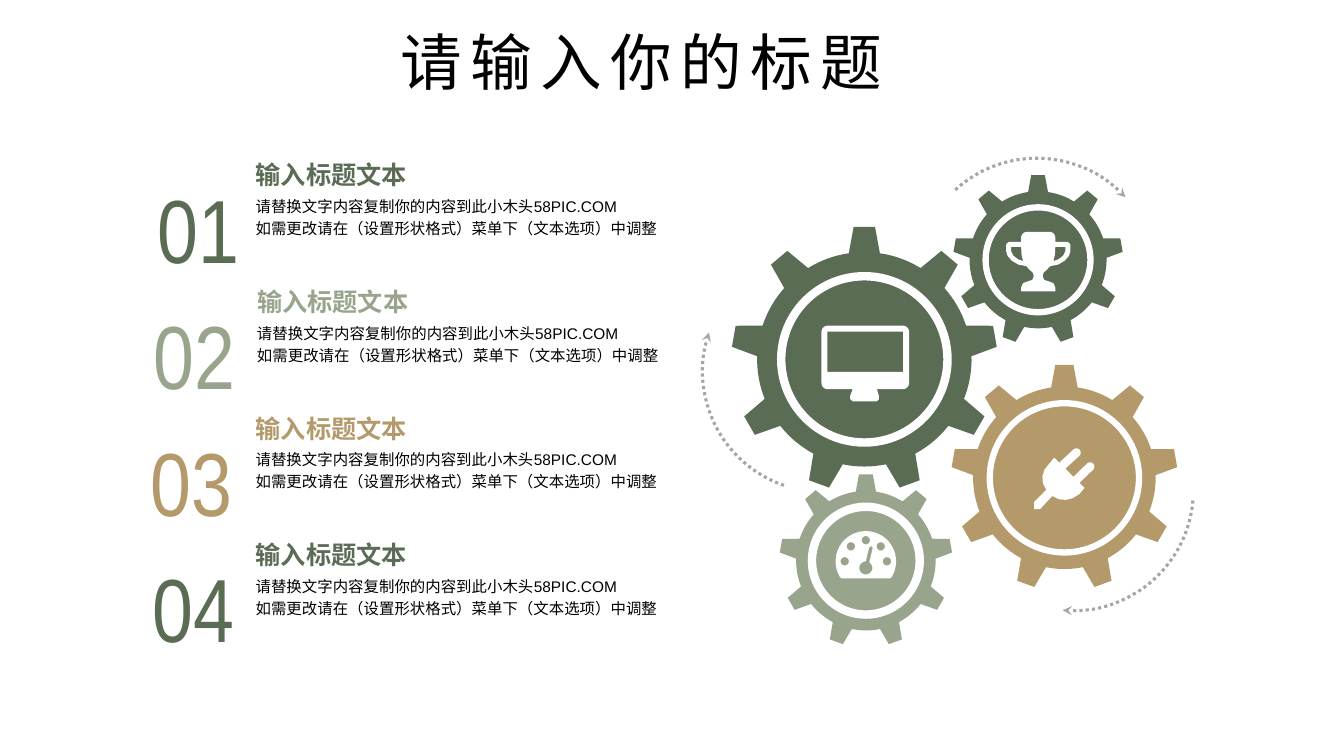
from math import cos, radians, sin

from lxml import etree
from pptx import Presentation
from pptx.dml.color import RGBColor
from pptx.enum.dml import MSO_LINE
from pptx.enum.shapes import MSO_SHAPE
from pptx.enum.text import MSO_ANCHOR, MSO_AUTO_SIZE, PP_ALIGN
from pptx.oxml.ns import qn
from pptx.util import Pt

ARC, ELLIPSE = MSO_SHAPE.ARC, MSO_SHAPE.OVAL
TOP, MIDDLE, BOTTOM = MSO_ANCHOR.TOP, MSO_ANCHOR.MIDDLE, MSO_ANCHOR.BOTTOM
DOTTED, CENTER, NO_AUTOFIT = MSO_LINE.ROUND_DOT, PP_ALIGN.CENTER, MSO_AUTO_SIZE.NONE

GREEN = RGBColor(0x5B, 0x6C, 0x54)
SAGE = RGBColor(0x98, 0xA5, 0x8C)
TAN = RGBColor(0xB4, 0x9A, 0x6B)
GRAY = RGBColor(0xA6, 0xA6, 0xA6)
BLACK = RGBColor(0, 0, 0)
WHITE = RGBColor(255, 255, 255)

TITLE = "请输入你的标题"
HEADING = "输入标题文本"
BODY = "请替换文字内容复制你的内容到此小木头58PIC.COM\n如需更改请在（设置形状格式）菜单下（文本选项）中调整"
ROW_PITCH = 90.4
TEETH = 9


def arc_points(x, y, radius, start, end, steps=8):
    """Points on a circle, with angles in degrees clockwise from the right."""
    angles = [radians(start + (end - start) * i / steps) for i in range(steps + 1)]
    return [(x + radius * cos(a), y + radius * sin(a)) for a in angles]


def gear_points(x, y, radius):
    step, root = 360 / TEETH, radius * 0.806
    points = []
    for tooth in range(TEETH):
        angle = 270 + tooth * step
        points += arc_points(x, y, radius, angle - 4.6, angle + 4.6, 1)
        points += arc_points(x, y, root, angle + 8.35, angle + step - 8.35)
    return points


def mirrored(points):
    """Close a right half around x = 0 with its reflection."""
    return points + [(-x, y) for x, y in reversed(points)]


def monitor_contours():
    case = [
        *arc_points(4.5, 4.5, 4.5, 180, 270), *arc_points(58.1, 4.5, 4.5, 270, 360),
        *arc_points(58.1, 40.9, 4.5, 0, 90),
        (39.6, 45.4), (41, 50), (41, 52.5), (39.6, 54),
        (22.3, 54), (20.5, 52.5), (20.5, 50), (22.3, 45.4),
        *arc_points(4.5, 40.9, 4.5, 90, 180),
    ]
    return [case, [(4.3, 4.3), (58.3, 4.3), (58.3, 33.1), (4.3, 33.1)]]


def trophy_contours():
    cup = mirrored([
        *arc_points(8, 4.2, 4.2, 270, 360), (12.2, 7.2), *arc_points(20.1, 10.1, 2.9, 270, 360),
        (23, 13.7), (21.9, 17.2), (18.8, 20.7), (14.2, 23.4), (8.6, 24.5), (5.8, 27.4),
        (3.8, 29.2), (3.2, 31.7), (4.2, 34.3), (7.2, 35.3), (10.8, 36.6), (12.2, 39.6), (12.2, 42.5),
    ])
    handle = [(12.2, 10.8), (19.4, 10.8), (19.4, 13.7), (17.8, 17), (14.5, 19.6),
              (10.8, 20.9), (11.9, 16.5)]
    return [cup, handle, [(-x, y) for x, y in handle]]


def gauge_contours():
    dome = arc_points(21.6, 21.6, 21.6, 149, 391, 32) + [(39, 33.8), (4.2, 33.8)]
    dots = [arc_points(x, y, 3, 0, 360, 16) for x, y in arc_points(21.6, 21.6, 15.1, 180, 360, 4)]
    needle = arc_points(21.6, 26.3, 4.7, -58, 270, 20) + [(23.8, 12.2), (25.2, 10.6), (26.6, 11.8)]
    return [dome, *dots, needle]


def plug_contours():
    return [[
        (18, 10.8), *arc_points(30.2, 3.6, 3.1, 225, 405), (22.3, 15.1),
        (28.1, 20.9), *arc_points(40, 13.6, 3.1, 225, 405), (32.4, 25.2),
        (36, 28.8), (32.4, 33.1), (27.7, 36.1), (22.7, 37.4), (17.6, 36.9), (13, 34.6),
        (4.3, 43.9), (0, 43.9), (0, 38.9), (8.6, 30.2),
        (6.3, 25.6), (5.9, 20.6), (7.4, 15.8), (10.8, 11.5), (14.4, 7.2),
    ]]


class Page:
    """The current slide with its fonts and drawing style."""

    asian_font = "Noto Sans CJK SC"

    def __init__(self, slide):
        self.slide = slide
        self.shapes = slide.shapes

    def style(self, paragraph, size, color, font, bold=False):
        for span in paragraph.runs:
            span.font.name, span.font.size, span.font.bold = font, Pt(size), bold
            span.font.color.rgb = color
            properties = span.font._element
            etree.SubElement(properties, qn("a:ea"), typeface=self.asian_font)

    def title(self, text, left, top, width, height):
        box = self.shapes.title
        box.left, box.top, box.width, box.height = Pt(left), Pt(top), Pt(width), Pt(height)
        frame = box.text_frame
        frame.text = text
        frame.auto_size, frame.vertical_anchor = NO_AUTOFIT, TOP
        paragraph = frame.paragraphs[0]
        paragraph.alignment = CENTER
        self.style(paragraph, 44, BLACK, self.asian_font)
        for span in paragraph.runs:
            span.font._element.set("spc", "600")

    def text(self, text, left, top, width, height, size, color, font="Arial",
             bold=False, anchor=MIDDLE, wrap=False, spacing=None):
        box = self.shapes.add_textbox(Pt(left), Pt(top), Pt(width), Pt(height))
        frame = box.text_frame
        frame.margin_left = frame.margin_right = frame.margin_top = frame.margin_bottom = 0
        frame.word_wrap, frame.vertical_anchor = wrap, anchor
        paragraph = frame.paragraphs[0]
        paragraph.text = text
        paragraph.line_spacing = spacing
        self.style(paragraph, size, color, font, bold)

    def outline(self, contours, color, left=0, top=0):
        """Fill closed contours; inner contours become holes."""
        contours = [[(Pt(left + x), Pt(top + y)) for x, y in points] for points in contours]
        builder = self.shapes.build_freeform(*contours[0][0])
        for index, points in enumerate(contours):
            if index:
                builder.move_to(*points[0])
            builder.add_line_segments(points[1:], close=True)
        shape = builder.convert_to_shape()
        shape.shadow.inherit = False
        shape.fill.solid()
        shape.fill.fore_color.rgb = color
        shape.line.fill.background()

    def gear(self, x, y, radius, disc, ring, color):
        self.outline([gear_points(x, y, radius)], color)
        shape = self.shapes.add_shape(ELLIPSE, Pt(x - disc / 2), Pt(y - disc / 2), Pt(disc), Pt(disc))
        shape.shadow.inherit = False
        shape.fill.solid()
        shape.fill.fore_color.rgb = color
        shape.line.color.rgb, shape.line.width = WHITE, Pt(ring)

    def turn_arrow(self, left, top, rotation):
        shape = self.shapes.add_shape(ARC, Pt(left), Pt(top), Pt(172), Pt(172))
        shape.rotation = rotation
        shape.shadow.inherit = False
        shape.fill.background()
        shape.line.color.rgb, shape.line.width = GRAY, Pt(2.25)
        shape.line.dash_style = DOTTED
        etree.SubElement(shape.line._get_or_add_ln(), qn("a:tailEnd"), type="stealth")


def main():
    deck = Presentation()
    deck.slide_width, deck.slide_height = Pt(960), Pt(540)
    page = Page(deck.slides.add_slide(deck.slide_layouts[5]))
    page.title(TITLE, 252.2, 13.7, 411.8, 60.5)

    rows = [(GREEN, 182.6, 112.6, 59), (SAGE, 183.6, 109.6, 67),
            (TAN, 182.6, 107.4, 69), (GREEN, 182.6, 108.7, 67)]
    for index, (color, left, number_left, number_width) in enumerate(rows):
        top = 112.3 + index * ROW_PITCH
        page.text(HEADING, left, top, 120, 25.2, 18, color, bold=True, wrap=True)
        page.text(BODY, left, top + 23.8, 393, 36, 11, BLACK, wrap=True, spacing=1.2)
        page.text(f"{index + 1:02}", number_left, top - 28, number_width, 116.6, 64, color,
                  font="Arial Narrow", anchor=BOTTOM)

    for gear in [(617.4, 256.7, 95, 118.8, 6, GREEN), (760.3, 341.3, 80.9, 106.6, 4.5, TAN),
                 (618.5, 400.5, 61.8, 77, 6, SAGE), (741.5, 185.6, 60.7, 74.9, 4.5, GREEN)]:
        page.gear(*gear)
    for arrow in [(654.5, 113, 317.5), (501.8, 179.3, 198.9), (680.4, 264.2, 94.9)]:
        page.turn_arrow(*arrow)
    for contours, left, top in [(monitor_contours(), 586.8, 232.6), (trophy_contours(), 741.6, 165.6),
                                (gauge_contours(), 596.9, 379.4), (plug_contours(), 738.7, 319.7)]:
        page.outline(contours, WHITE, left, top)

    deck.save("out.pptx")


if __name__ == "__main__":
    main()
